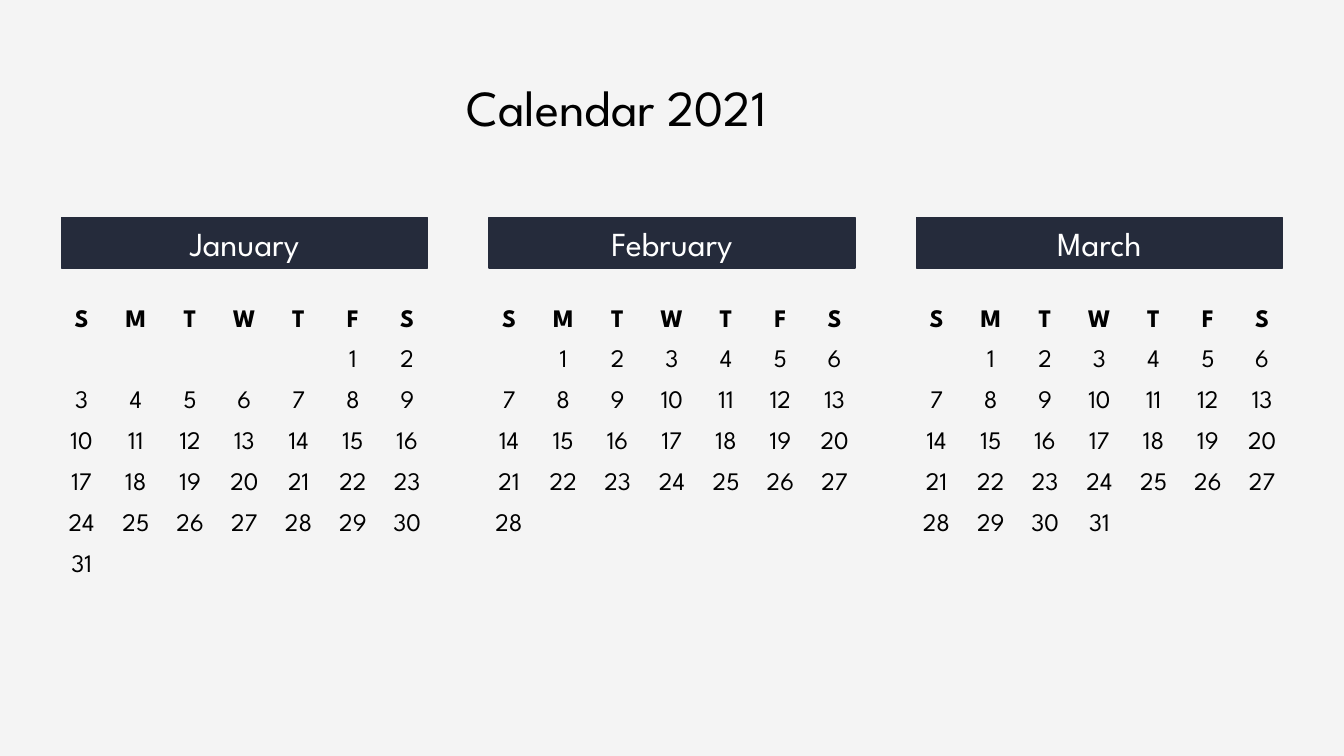
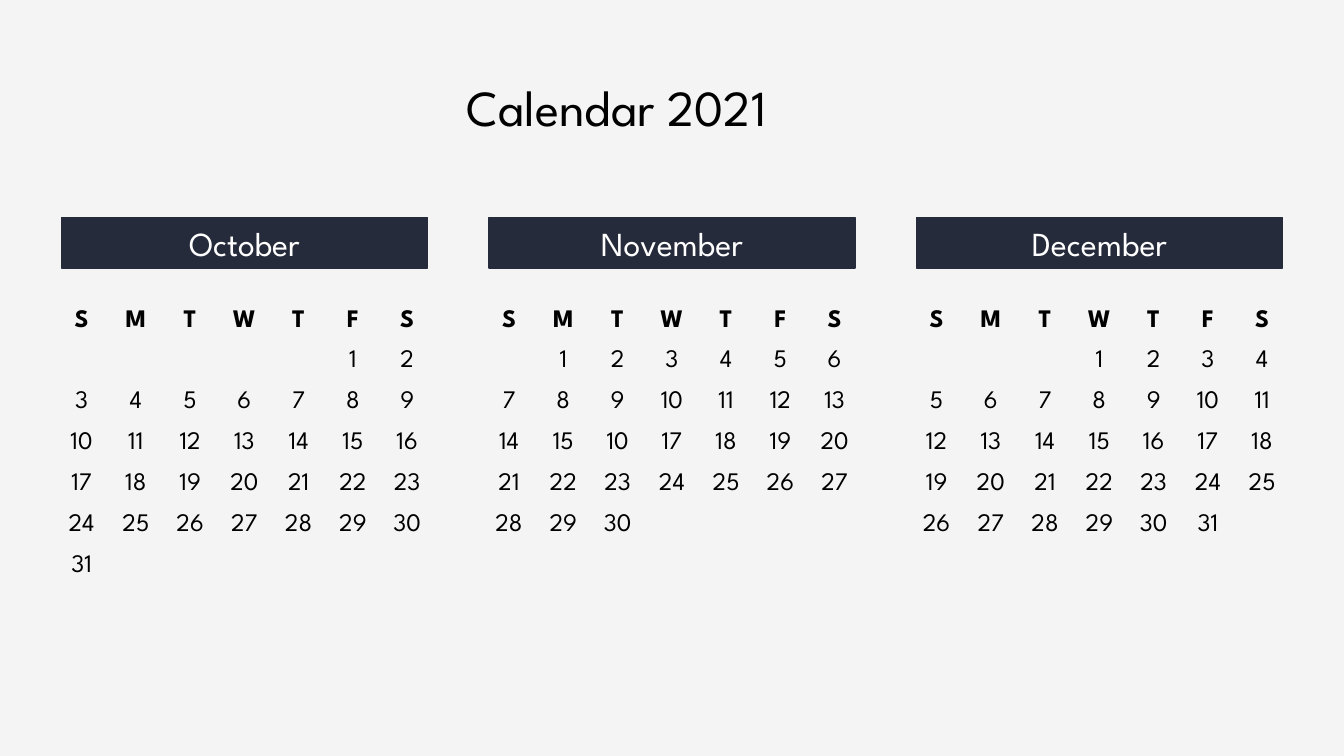
from dataclasses import dataclass, field

from pptx import Presentation
from pptx import util as u
from pptx.dml.color import RGBColor
from pptx.enum import shapes, text
from pptx.oxml import ns

FONT = "League Spartan"
COLORS = {"back": "F4F4F4", "band": "252B3B", "ink": "000000", "light": "FFFFFF"}
PLAIN = "{2D5ABB26-0587-4C30-8999-92F81FD0307C}"  # table style without grid

DAYS = "SMTWTFS"
LEFT, STEP = 0.61, 4.24  # first month and distance to the next
BAND_W, GRID_W = 3.63, 3.77
ROW = 2.84 / 7


@dataclass
class Month:
    name: str
    start: int  # column of day 1, Sunday is 0
    days: int
    swaps: dict[int, str] = field(default_factory=dict)  # labels that differ

    def rows(self) -> list[list[str]]:
        cells = [""] * self.start
        cells += [self.swaps.get(d, str(d)) for d in range(1, self.days + 1)]
        cells += [""] * (-len(cells) % 7)
        weeks = [cells[i:i + 7] for i in range(0, len(cells), 7)]
        return [list(DAYS)] + weeks


QUARTERS = [
    [Month("January", 5, 31), Month("February", 1, 28), Month("March", 1, 31)],
    [Month("October", 5, 31), Month("November", 1, 30, {16: "10"}),
     Month("December", 3, 31)],
]


def color(key: str) -> RGBColor:
    return RGBColor.from_string(COLORS[key])


def write(frame, words: str, size: int, ink: str = "ink",
          align=text.PP_ALIGN.CENTER, bold: bool = False) -> None:
    para = frame.paragraphs[0]
    para.alignment = align
    run = para.add_run()
    run.text = words
    font = run.font
    font.name, font.size, font.bold = FONT, u.Pt(size), bold
    font.color.rgb = color(ink)


def add_title(slide, words: str) -> None:
    box = slide.shapes.add_textbox(
        u.Inches(4.53), u.Inches(0.71), u.Inches(4.27), u.Inches(0.71))
    box.text_frame.word_wrap = True
    write(box.text_frame, words, 36, align=text.PP_ALIGN.LEFT)


def add_band(slide, left: float, name: str) -> None:
    band = slide.shapes.add_shape(
        shapes.MSO_SHAPE.RECTANGLE, u.Inches(left), u.Inches(2.16),
        u.Inches(BAND_W), u.Inches(0.5))
    band.shadow.inherit = False
    band.fill.solid()
    band.fill.fore_color.rgb = color("band")
    band.line.color.rgb = color("band")
    band.line.width = u.Pt(1)
    band.text_frame.vertical_anchor = text.MSO_ANCHOR.MIDDLE
    write(band.text_frame, name, 24, "light")


def add_grid(slide, left: float, rows: list[list[str]]) -> None:
    table = slide.shapes.add_table(
        len(rows), len(DAYS), u.Inches(left), u.Inches(3.02),
        u.Inches(GRID_W), u.Inches(ROW * len(rows))).table
    table.first_row = table.horz_banding = False
    table._tbl.tblPr.find(ns.qn("a:tableStyleId")).text = PLAIN
    for r, row in enumerate(rows):
        for c, label in enumerate(row):
            cell = table.cell(r, c)
            cell.fill.background()
            if label:
                write(cell.text_frame, label, 18, bold=r == 0)


def add_quarter(deck, months: list[Month]) -> None:
    slide = deck.slides.add_slide(deck.slide_layouts[6])
    slide.background.fill.solid()
    slide.background.fill.fore_color.rgb = color("back")
    add_title(slide, "Calendar 2021")
    for i, month in enumerate(months):
        left = LEFT + i * STEP
        add_band(slide, left, month.name)
        # The grid is centred under its band
        add_grid(slide, left - (GRID_W - BAND_W) / 2, month.rows())


def main() -> None:
    deck = Presentation()
    deck.slide_width, deck.slide_height = u.Inches(13.33), u.Inches(7.5)
    for months in QUARTERS:
        add_quarter(deck, months)
    deck.save("out.pptx")


if __name__ == "__main__":
    main()
